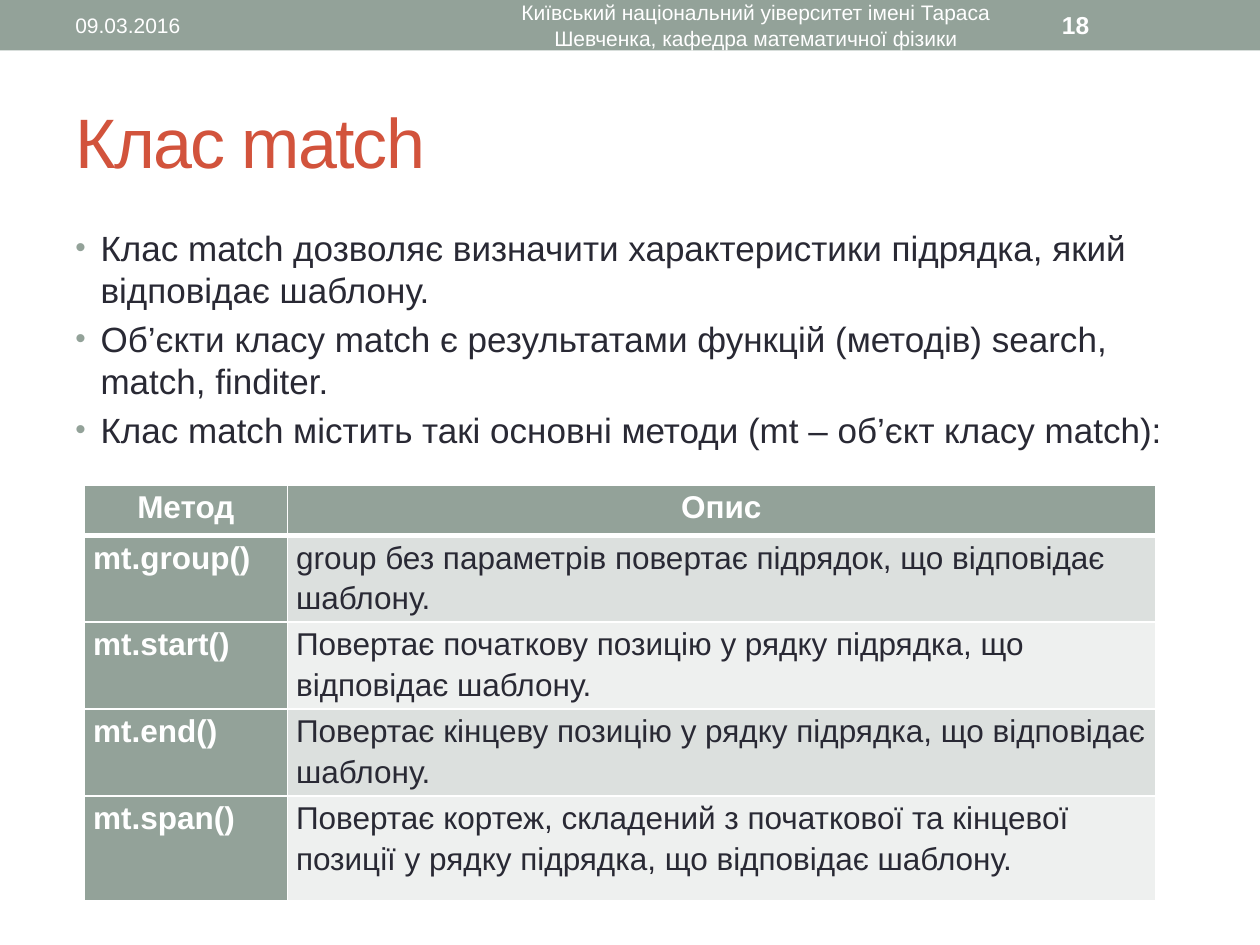
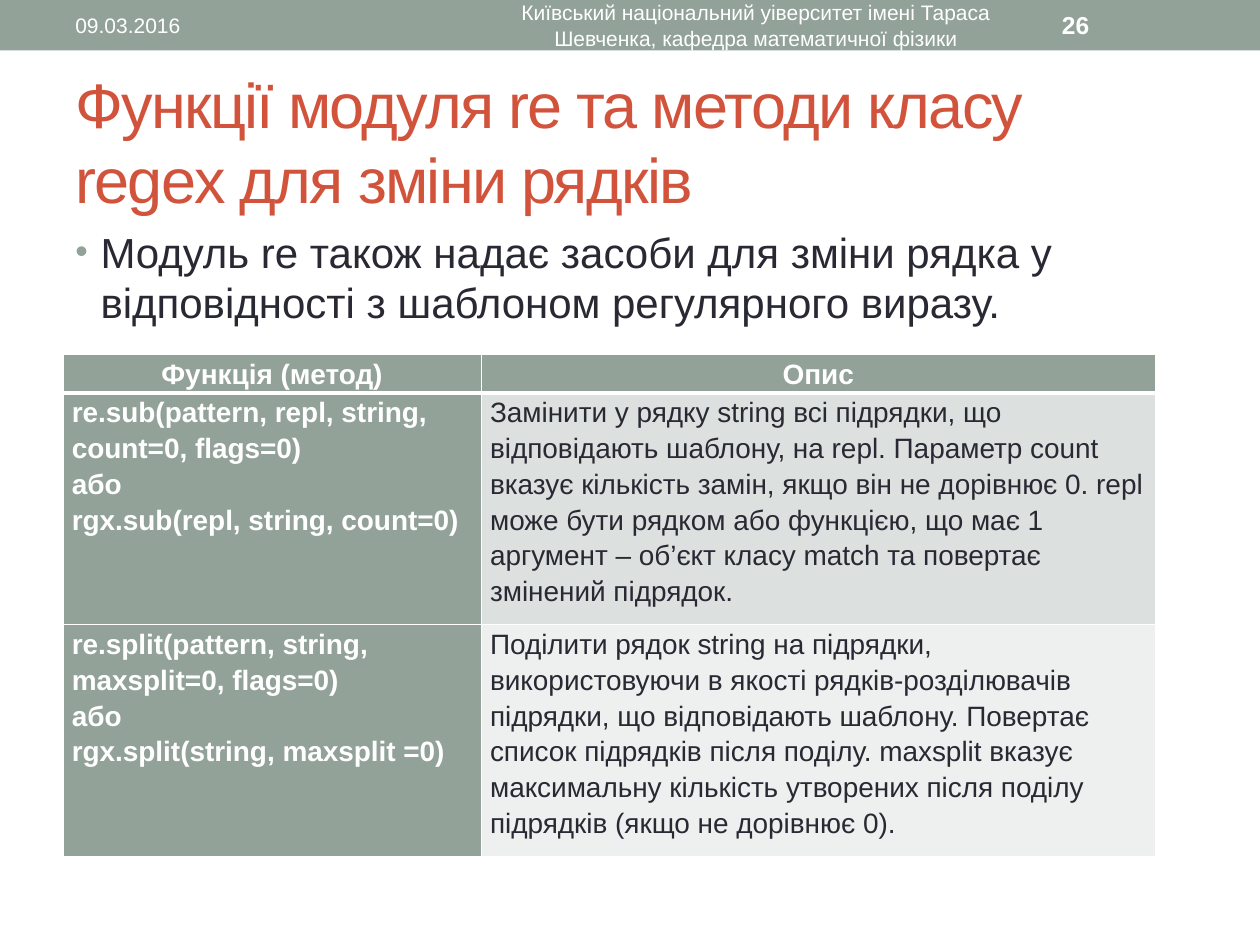
from lxml import etree
from pptx import Presentation
from pptx import util as u
from pptx.dml.color import RGBColor
from pptx.enum import shapes, text
from pptx.oxml import ns

WIDTH, HEIGHT = u.Inches(10), u.Inches(7.5)
MARGIN = 0.05          # share of the slide's width
BAND = 0.4 / 7.5       # share of the slide's height
FONT = "Arial"
COLORS = {
    "sage": "93A299", "title": "D2533C", "ink": "292934", "white": "FFFFFF",
    "odd_row": "DCE0DE", "even_row": "EEF0EF",
}
DATE = "09.03.2016"
DEPARTMENT = ("Київський національний уіверситет імені Тараса Шевченка, "
              "кафедра математичної фізики")


def rgb(name):
    return RGBColor.from_string(COLORS[name])


def add_xml(parent, tag, **attributes):
    return etree.SubElement(parent, ns.qn(tag), attributes)


def style(paragraph, size, color, bold=False, align=text.PP_ALIGN.LEFT):
    paragraph.alignment = align
    font = paragraph.font
    font.name, font.size, font.bold = FONT, u.Pt(size), bold
    font.color.rgb = rgb(color)


def text_frame(slide, left, top, width, height, anchor=text.MSO_ANCHOR.MIDDLE):
    """Wrapping text box placed by shares of the slide's size."""
    box = slide.shapes.add_textbox(int(left * WIDTH), int(top * HEIGHT),
                                   int(width * WIDTH), int(height * HEIGHT))
    box.text_frame.word_wrap = True
    box.text_frame.vertical_anchor = anchor
    return box.text_frame


# Shared header band: date, department, page number
def add_header(slide, page):
    band = slide.shapes.add_shape(shapes.MSO_SHAPE.RECTANGLE, 0, 0,
                                  WIDTH, int(BAND * HEIGHT))
    band.shadow.inherit = False
    band.fill.solid()
    band.fill.fore_color.rgb = rgb("sage")
    band.line.fill.background()

    left, center = text.PP_ALIGN.LEFT, text.PP_ALIGN.CENTER
    for words, x, width, size, bold, align in (
            (DATE, MARGIN, 0.317, 12, False, left),
            (DEPARTMENT, 0.375, 0.45, 12, False, center),
            (str(page), 0.833, 0.117, 14, True, left)):
        label = text_frame(slide, x, BAND * 0.05, width, BAND * 0.9).paragraphs[0]
        label.text = words
        style(label, size, "white", bold, align)


def add_title(slide, words, size):
    title = text_frame(slide, MARGIN, 0.077, 1 - 2 * MARGIN, 0.144).paragraphs[0]
    title.text = words
    style(title, size, "title")
    title.runs[0].font._element.set("spc", "-100")


def add_bullets(slide, points, size):
    frame = text_frame(slide, MARGIN, 0.233, 1 - 2 * MARGIN, 0.71,
                       text.MSO_ANCHOR.TOP)
    for i, point in enumerate(points):
        bullet = frame.add_paragraph() if i else frame.paragraphs[0]
        bullet.text = point
        style(bullet, size, "ink")
        bullet.space_before = u.Pt(size * 0.2)
        props = bullet._p.get_or_add_pPr()
        props.set("marL", str(u.Inches(0.2)))
        props.set("indent", str(-u.Inches(0.2)))
        marks = etree.Element("marks")
        add_xml(add_xml(marks, "a:buClr"), "a:srgbClr", val=COLORS["sage"])
        add_xml(marks, "a:buSzPct", val="85000")
        add_xml(marks, "a:buFont", typeface=FONT)
        add_xml(marks, "a:buChar", char="•")
        # Bullet marks stand between the spacing and the default run style
        default_run = props.find(ns.qn("a:defRPr"))
        for mark in list(marks):
            default_run.addprevious(mark)


# Method table: heading row, sage name column, banded descriptions
def set_borders(cell, bottom):
    props = cell._tc.get_or_add_tcPr()
    widths = {"a:lnL": 1, "a:lnR": 1, "a:lnT": 1, "a:lnB": bottom}
    for i, (side, width) in enumerate(widths.items()):
        line = etree.Element(ns.qn(side), w=str(u.Pt(width)))
        add_xml(add_xml(line, "a:solidFill"), "a:srgbClr", val=COLORS["white"])
        props.insert(i, line)


def fill_cell(cell, words, size, row, column):
    is_heading = row == 0
    is_label = is_heading or column == 0
    cell.margin_left = cell.margin_right = u.Inches(0.07)
    cell.margin_top = cell.margin_bottom = 0
    cell.fill.solid()
    band = "odd_row" if row % 2 else "even_row"
    cell.fill.fore_color.rgb = rgb("sage" if is_label else band)
    set_borders(cell, 3 if is_heading else 1)
    cell.text = words
    for paragraph in cell.text_frame.paragraphs:
        style(paragraph, size, "white" if is_label else "ink", is_label,
              text.PP_ALIGN.CENTER if is_heading else text.PP_ALIGN.LEFT)
        paragraph.line_spacing = 1.15


def add_methods(slide, rows, left, top, widths, heights, size):
    table = slide.shapes.add_table(
        len(rows), len(widths), int(left * WIDTH), int(top * HEIGHT),
        u.Inches(sum(widths)), u.Inches(sum(heights))).table
    for column, width in zip(table.columns, widths):
        column.width = u.Inches(width)
    for r, (row, height) in enumerate(zip(rows, heights)):
        table.rows[r].height = u.Inches(height)
        for c, words in enumerate(row):
            fill_cell(table.cell(r, c), words, size, r, c)


def add_page(deck, page, title, title_size):
    slide = deck.slides.add_slide(deck.slide_layouts[6])
    add_header(slide, page)
    add_title(slide, title, title_size)
    return slide


def main():
    deck = Presentation()
    deck.slide_width, deck.slide_height = WIDTH, HEIGHT

    # The match class
    match_page = add_page(deck, 18, "Клас match", 40)
    add_bullets(match_page, [
        "Клас match дозволяє визначити характеристики підрядка, "
        "який відповідає шаблону.",
        "Об’єкти класу match є результатами функцій (методів) "
        "search, match, finditer.",
        "Клас match містить такі основні методи (mt – об’єкт класу match):",
    ], 20)
    add_methods(match_page, [
        ("Метод", "Опис"),
        ("mt.group()",
         "group без параметрів повертає підрядок, що відповідає шаблону."),
        ("mt.start()",
         "Повертає початкову позицію у рядку підрядка, що відповідає шаблону."),
        ("mt.end()",
         "Повертає кінцеву позицію у рядку підрядка, що відповідає шаблону."),
        ("mt.span()",
         "Повертає кортеж, складений з початкової та кінцевої позиції у рядку "
         "підрядка, що відповідає шаблону."),
    ], 0.067, 0.513, [1.61, 6.89], [0.4] + [0.64] * 3 + [0.83], 18)

    # Functions that change strings
    change_page = add_page(
        deck, 26, "Функції модуля re та методи класу regex для зміни рядків", 36)
    add_bullets(change_page, [
        "Модуль re також надає засоби для зміни рядка у відповідності "
        "з шаблоном регулярного виразу.",
    ], 24)
    add_methods(change_page, [
        ("Функція (метод)", "Опис"),
        ("re.sub(pattern, repl, string, count=0, flags=0)\nабо\n"
         "rgx.sub(repl, string, count=0)",
         "Замінити у рядку string всі підрядки, що відповідають шаблону, на "
         "repl. Параметр count вказує кількість замін, якщо він не дорівнює 0. "
         "repl може бути рядком або функцією, що має 1 аргумент – об’єкт класу "
         "match та повертає змінений підрядок."),
        ("re.split(pattern, string, maxsplit=0, flags=0)\nабо\n"
         "rgx.split(string, maxsplit =0)",
         "Поділити рядок string на підрядки, використовуючи в якості "
         "рядків-розділювачів підрядки, що відповідають шаблону. Повертає "
         "список підрядків після поділу. maxsplit вказує максимальну кількість "
         "утворених після поділу підрядків (якщо не дорівнює 0)."),
    ], MARGIN, 0.375, [3.32, 5.35], [0.28, 1.7, 1.7], 16)

    deck.save("out.pptx")


if __name__ == "__main__":
    main()
